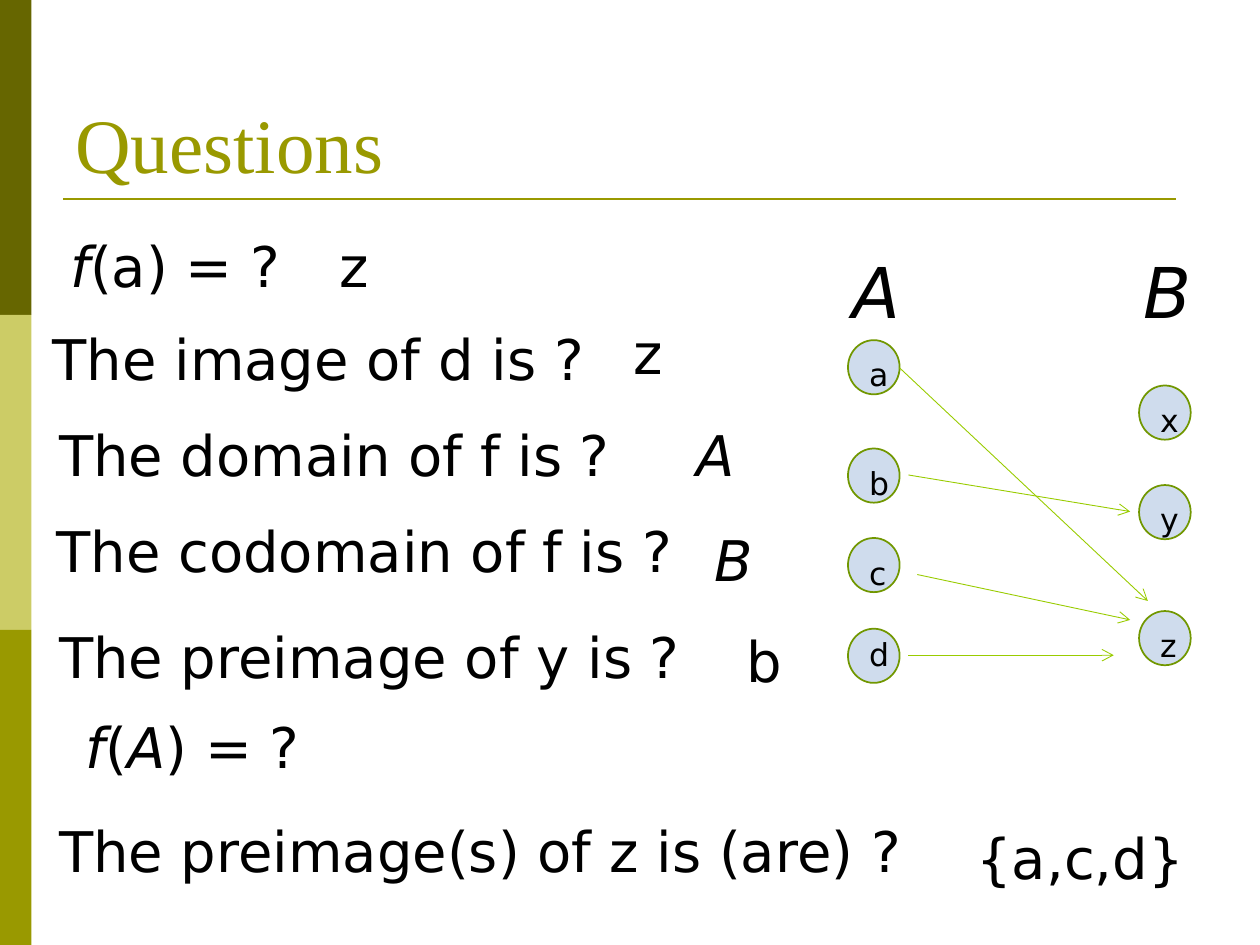
import pptx
import pptx.util
import pptx.dml.color
import pptx.enum.shapes
import pptx.enum.text
import pptx.oxml
import pptx.oxml.ns
import lxml.etree

Inches = pptx.util.Inches
Pt = pptx.util.Pt
RGB = pptx.dml.color.RGBColor.from_string
SHAPE = pptx.enum.shapes.MSO_SHAPE
ANCHOR = pptx.enum.text.MSO_ANCHOR
AUTO_SIZE = pptx.enum.text.MSO_AUTO_SIZE
qn = pptx.oxml.ns.qn

COLORS = {
    "text": "000000",
    "olive": "999900",
    "dark_olive": "666600",
    "light_olive": "CCCC66",
    "node": "4F81BD",
    "node_edge": "719700",
    "arrow": "99CC00",
}


def add_text(parent, text, left, top, width, height, size=32, font="DejaVu Sans",
             color="text", anchor=ANCHOR.TOP, auto_size=AUTO_SIZE.SHAPE_TO_FIT_TEXT):
    box = parent.add_textbox(Inches(left), Inches(top), Inches(width), Inches(height))
    frame = box.text_frame
    frame.word_wrap = True
    frame.auto_size = auto_size
    frame.vertical_anchor = anchor
    for index, part in enumerate(text.split("*")):
        if part:
            run = frame.paragraphs[0].add_run()
            run.text = part
            run.font.name = font
            run.font.size = Pt(size)
            run.font.italic = index % 2 == 1
            run.font.color.rgb = RGB(COLORS[color])


def add_line(parent, start, end, color, width):
    points = [Inches(value) for value in (*start, *end)]
    line = parent.add_connector(pptx.enum.shapes.MSO_CONNECTOR.STRAIGHT, *points)
    line.line.color.rgb = RGB(COLORS[color])
    line.line.width = Pt(width)
    lxml.etree.SubElement(line._element.spPr, qn("a:effectLst"))
    return line


deck = pptx.Presentation()
deck.slide_width = Inches(10)
deck.slide_height = Inches(7.5)
slide = deck.slides.add_slide(deck.slide_layouts[6])

for index, color in enumerate(["dark_olive", "light_olive", "olive"]):
    band = slide.shapes.add_shape(
        SHAPE.RECTANGLE, 0, Inches(2.5 * index), Inches(0.25), Inches(2.5))
    band.shadow.inherit = False
    band.fill.solid()
    band.fill.fore_color.rgb = RGB(COLORS[color])
    band.line.fill.background()

add_line(slide.shapes, (0.5, 1.58), (9.33, 1.58), "olive", 1.5)
add_text(slide.shapes, "Questions", 0.5, 0.3, 9, 1.25, size=44, font="Times New Roman",
         color="olive", anchor=ANCHOR.BOTTOM, auto_size=AUTO_SIZE.NONE)

mapping = slide.shapes.add_group_shape().shapes
members = {
    "A": (6.73, [("a", 2.7, 2.77), ("b", 3.56, 3.63), ("c", 4.27, 4.35), ("d", 4.99, 4.99)]),
    "B": (9.04, [("x", 3.06, 3.13), ("y", 3.85, 3.92), ("z", 4.85, 4.92)]),
}
for set_name, (left, elements) in members.items():
    add_text(mapping, f"*{set_name}*", left - 0.06, 1.92, 0.61, 0.77, size=40)
    for element, node_top, label_top in elements:
        node = mapping.add_shape(SHAPE.FLOWCHART_CONNECTOR, Inches(left), Inches(node_top),
                                 Inches(0.41), Inches(0.43))
        node.shadow.inherit = False
        node.fill.solid()
        node.fill.fore_color.rgb = RGB(COLORS["node"])
        fill_color = node._element.spPr.find(qn("a:solidFill"))[0]
        lxml.etree.SubElement(fill_color, qn("a:alpha"), val="27000")
        node.line.color.rgb = RGB(COLORS["node_edge"])
        node.line.width = Pt(1)
        add_text(mapping, element, left + 0.07, label_top, 0.27, 0.35, size=18)

for start, end in [
    ((7.14, 2.92), (9.11, 4.77)),
    ((7.21, 3.77), (8.97, 4.06)),
    ((7.28, 4.56), (8.97, 4.92)),
    ((7.21, 5.2), (8.84, 5.2)),
]:
    arrow = add_line(mapping, start, end, "arrow", 0.5)
    lxml.etree.SubElement(arrow.line._get_or_add_ln(), qn("a:tailEnd"), type="arrow")

for text, left, top, width in [
    ("*f*(a) = ?", 0.46, 1.79, 4.25),
    ("z", 2.6, 1.79, 3.17),
    ("The image of d is ?", 0.32, 2.53, 4.83),
    ("z", 4.93, 2.48, 0.75),
    ("The domain of f is ?", 0.37, 3.29, 4.79),
    ("*A*", 5.43, 3.29, 0.67),
    ("The codomain of f is ?", 0.35, 4.05, 5.21),
    ("*B*", 5.57, 4.12, 0.41),
    ("The preimage of y is ?", 0.37, 4.89, 5.31),
    ("b", 5.83, 4.92, 0.33),
    ("*f*(*A*) = ?", 0.58, 5.61, 2.5),
    ("The preimage(s) of z is (are) ?", 0.37, 6.43, 7.48),
    ("{a,c,d}", 7.65, 6.49, 2.35),
]:
    add_text(slide.shapes, text, left, top, width, 0.64)

deck.save("out.pptx")
